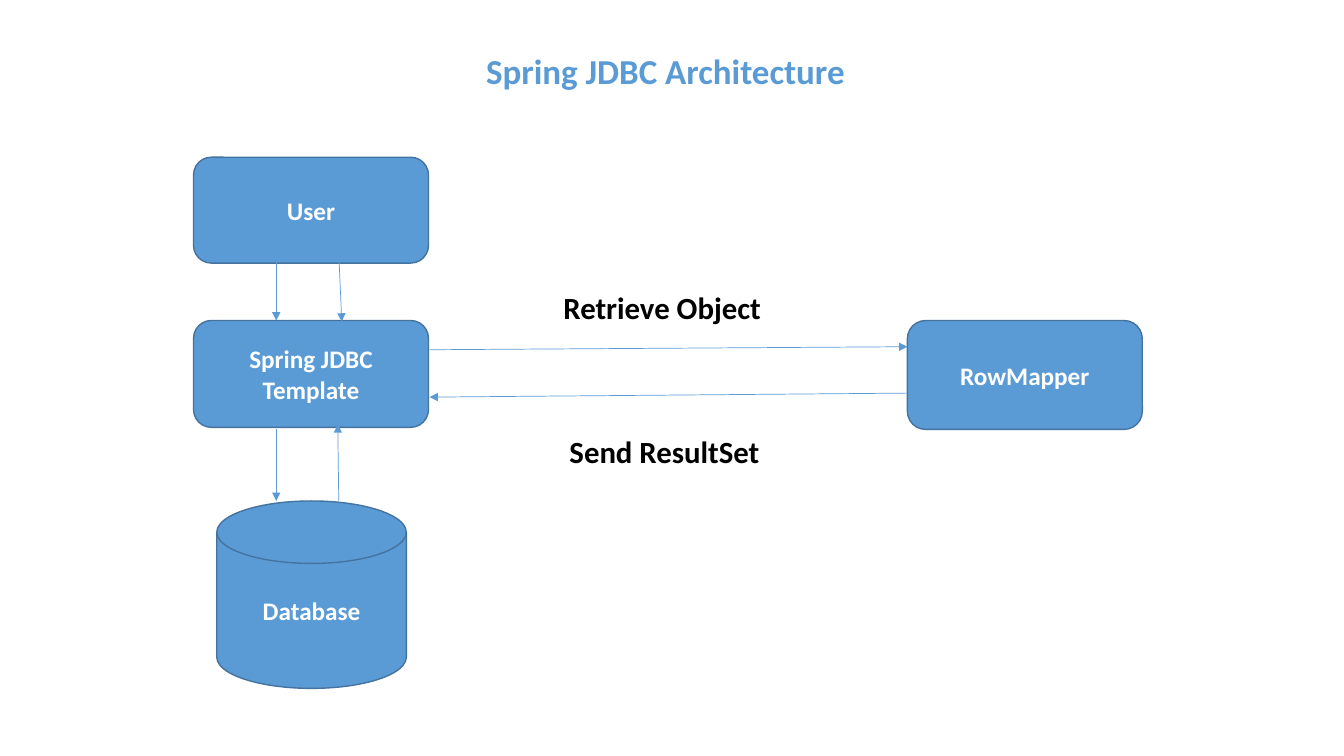
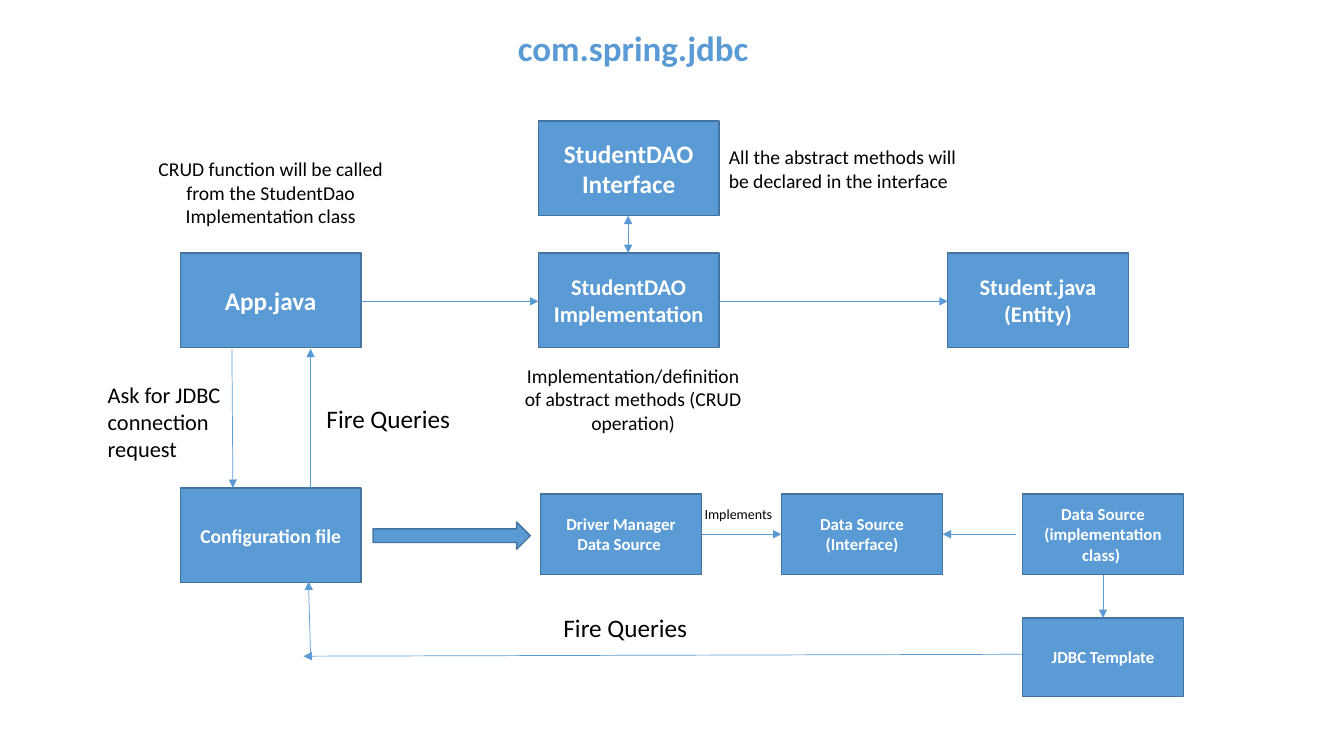
from pptx import Presentation
from pptx.dml.color import RGBColor
from pptx.enum import shapes, text
from pptx.oxml.ns import qn
from pptx.util import Inches, Pt
from lxml import etree

SHAPE = shapes.MSO_SHAPE
CENTER = text.PP_ALIGN.CENTER
LEFT = text.PP_ALIGN.LEFT


def rgb(value):
    return RGBColor.from_string(value)


class Deck:
    FONT = "Calibri"
    BLUE = "5B9BD5"
    EDGE = "43739E"
    WHITE = "FFFFFF"
    BLACK = "000000"

    def __init__(self):
        self.prs = Presentation()
        self.prs.slide_width = Inches(13.33)
        self.prs.slide_height = Inches(7.5)
        self.s = None

    def add_text(self, tf, content, size, color, bold, align):
        for i, line in enumerate(content.split("\n")):
            p = tf.paragraphs[0] if i == 0 else tf.add_paragraph()
            p.alignment = align
            r = p.add_run()
            r.text = line
            r.font.name = self.FONT
            r.font.size = Pt(size)
            r.font.bold = bold
            r.font.color.rgb = rgb(color)

    def slide(self, title, x, y):
        self.s = self.prs.slides.add_slide(self.prs.slide_layouts[5])
        sp = self.s.shapes.title
        sp.left, sp.top = Inches(x), Inches(y)
        sp.width, sp.height = Inches(11.5), Inches(1.45)
        tf = sp.text_frame
        tf.word_wrap = True
        tf.auto_size = text.MSO_AUTO_SIZE.NONE
        tf.vertical_anchor = text.MSO_ANCHOR.MIDDLE
        self.add_text(tf, title, 25, self.BLUE, True, CENTER)
        tf.paragraphs[0].line_spacing = 0.9

    def box(self, x, y, w, h, content="", size=18, kind=SHAPE.RECTANGLE):
        sp = self.s.shapes.add_shape(kind, Inches(x), Inches(y), Inches(w), Inches(h))
        sp.shadow.inherit = False
        sp.fill.solid()
        sp.fill.fore_color.rgb = rgb(self.BLUE)
        sp.line.color.rgb = rgb(self.EDGE)
        sp.line.width = Pt(1)
        if content:
            tf = sp.text_frame
            tf.word_wrap = True
            tf.vertical_anchor = text.MSO_ANCHOR.MIDDLE
            self.add_text(tf, content, size, self.WHITE, True, CENTER)

    def label(self, x, y, w, h, content, size, bold=False, align=LEFT, wrap=True):
        sp = self.s.shapes.add_textbox(Inches(x), Inches(y), Inches(w), Inches(h))
        tf = sp.text_frame
        tf.word_wrap = wrap
        tf.auto_size = text.MSO_AUTO_SIZE.SHAPE_TO_FIT_TEXT
        self.add_text(tf, content, size, self.BLACK, bold, align)

    def arrow(self, x1, y1, x2, y2, ends=("tailEnd",)):
        cx = self.s.shapes.add_connector(
            shapes.MSO_CONNECTOR.STRAIGHT, Inches(x1), Inches(y1), Inches(x2), Inches(y2))
        cx.line.color.rgb = rgb(self.BLUE)
        cx.line.width = Pt(0.5)
        props = cx._element.spPr
        ln = props.find(qn("a:ln"))
        for end in ends:
            etree.SubElement(ln, qn("a:" + end), type="triangle")
        etree.SubElement(props, qn("a:effectLst"))


def architecture(deck):
    deck.slide("Spring JDBC Architecture", 0.85, 0)
    for x, y, h, name in (
        (1.92, 1.56, 1.05, "User"),
        (1.92, 3.18, 1.06, "Spring JDBC Template"),
        (9, 3.18, 1.08, "RowMapper"),
    ):
        deck.box(x, y, 2.33, h, name, kind=SHAPE.ROUNDED_RECTANGLE)
    deck.box(2.15, 4.97, 1.88, 1.86, "Database", kind=SHAPE.FLOWCHART_MAGNETIC_DISK)
    for ends in (
        (2.74, 4.26, 2.74, 4.97),
        (3.36, 4.97, 3.35, 4.21),
        (2.74, 2.46, 2.74, 3.18),
        (3.36, 2.51, 3.39, 3.19),
        (4.26, 3.47, 9, 3.44),
        (9, 3.9, 4.26, 3.94),
    ):
        deck.arrow(*ends)
    deck.label(5.49, 2.82, 2.19, 0.47, "Retrieve Object", 22, bold=True, wrap=False)
    deck.label(5.55, 4.24, 2.1, 0.47, "Send ResultSet", 22, bold=True, wrap=False)


def package_flow(deck):
    deck.slide("com.spring.jdbc", 0.53, -0.23)
    app_x, dao_x, entity_x = 1.79, 5.34, 9.4
    class_y = 2.51
    for x, y, name, size in (
        (app_x, class_y, "App.java", 18),
        (dao_x, 1.2, "StudentDAO Interface", 18),
        (dao_x, class_y, "StudentDAO Implementation", 16),
        (entity_x, class_y, "Student.java\n(Entity)", 16),
        (app_x, 4.84, "Configuration file", 14),
    ):
        deck.box(x, y, 1.79, 0.94, name, size)

    source_x = [5.36 + 2.39 * i for i in range(3)]
    for x, name in zip(source_x, (
        "Driver Manager Data Source ",
        "Data Source (Interface)",
        "Data Source (implementation class) ",
    )):
        deck.box(x, 4.9, 1.6, 0.8, name, 12)
    deck.arrow(10.59, 6.49, 3.01, 6.51)
    deck.box(source_x[2], 6.13, 1.6, 0.78, "JDBC Template", 12)
    deck.box(3.7, 5.18, 1.56, 0.27, kind=SHAPE.RIGHT_ARROW)

    for ends in (
        (6.96, 5.3, 7.75, 5.3),
        (10.08, 5.3, 9.35, 5.3),
        (10.94, 5.7, 10.94, 6.13),
        (3.08, 6.49, 3.06, 5.77),
        (3.08, 4.84, 3.08, 3.46),
        (2.3, 3.46, 2.31, 4.84),
        (3.58, 2.99, 5.34, 2.99),
        (7.13, 2.99, 9.4, 2.99),
    ):
        deck.arrow(*ends)
    deck.arrow(6.23, 2.14, 6.23, 2.51, ("headEnd", "tailEnd"))

    for x, y in ((5.49, 6.03), (3.14, 3.95)):
        deck.label(x, y, 1.44, 0.4, "Fire Queries", 18, wrap=False)
    deck.label(6.89, 4.97, 1.13, 0.27, "Implements", 10)
    deck.label(0.97, 3.73, 1.82, 0.91, "Ask for JDBC connection request", 16)
    deck.label(7.13, 1.39, 2.5, 0.57,
               "All the abstract methods will be declared in the interface", 14)
    deck.label(5.1, 3.56, 2.36, 0.81,
               "Implementation/definition of abstract methods (CRUD operation)",
               14, align=CENTER)
    deck.label(1.33, 1.51, 2.71, 0.81,
               "CRUD function will be called from the StudentDao Implementation class",
               14, align=CENTER)


deck = Deck()
architecture(deck)
package_flow(deck)
deck.prs.save("out.pptx")
